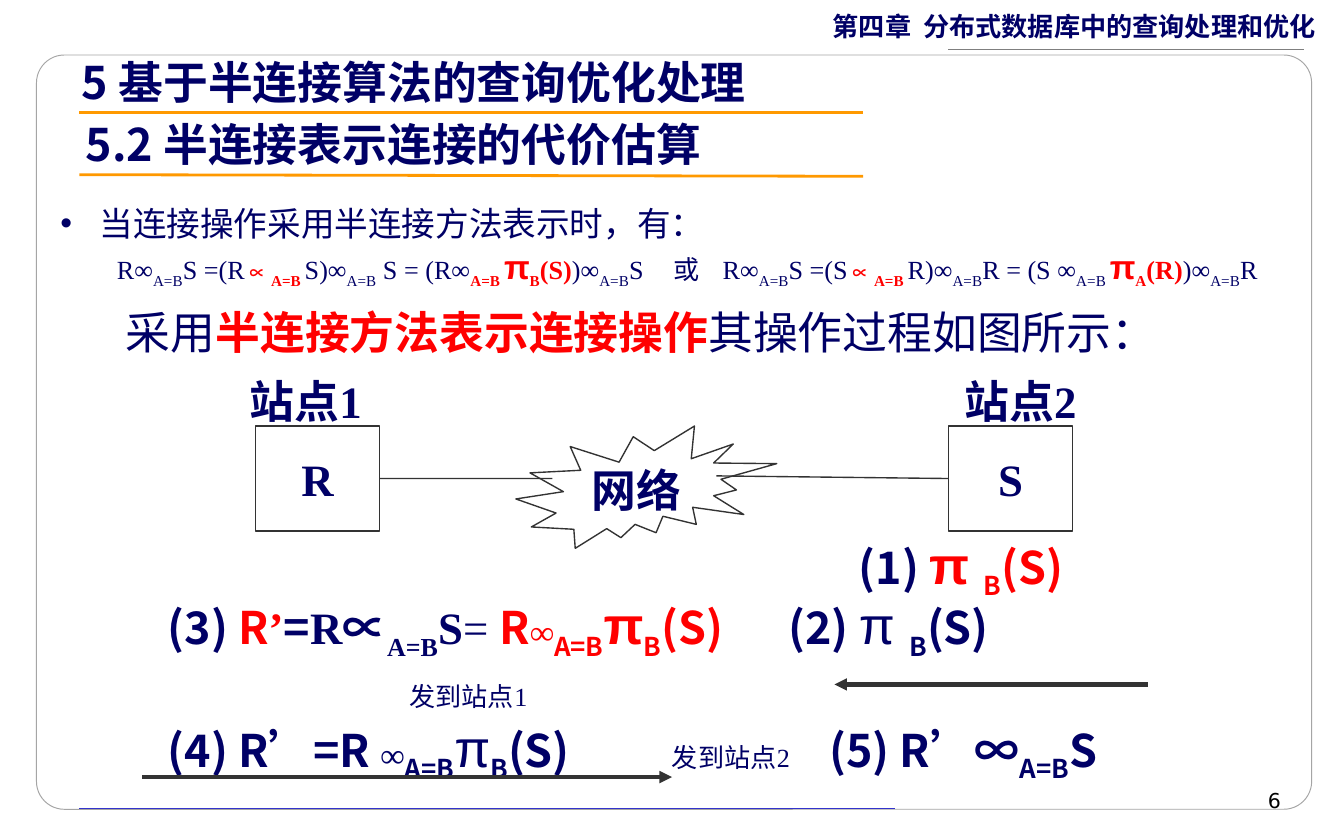
from pptx import Presentation
from pptx.dml.color import RGBColor
from pptx.enum.shapes import MSO_CONNECTOR, MSO_SHAPE
from pptx.enum.text import MSO_ANCHOR, PP_ALIGN
from pptx.oxml.ns import qn
from pptx.util import Cm, Pt
from lxml.etree import SubElement

NOTO, TIMES, ARIAL = "Noto Sans CJK SC", "Times New Roman", "Arial"
NAVY, RED, GRAY, ORANGE = "000066", "FF0000", "333333", "FF9900"


def paint(color, value):
    color.rgb = RGBColor.from_string(value)


def style(run, size, face=NOTO, color=NAVY, bold=True, sub=False):
    run.font.size, run.font.bold, run.font.name = Pt(size), bold, face
    paint(run.font.color, color)
    props = run._r.get_or_add_rPr()
    if sub:
        props.set("baseline", "-25000")
    SubElement(props, qn("a:ea")).set("typeface", NOTO)


def write(para, parts):
    for text, *look in parts:
        run = para.add_run()
        run.text = text
        style(run, *look)


def add_tabs(para, *stops):
    tabs = SubElement(para._p.get_or_add_pPr(), qn("a:tabLst"))
    for stop in stops:
        tab = SubElement(tabs, qn("a:tab"))
        tab.set("pos", str(Cm(stop)))
        tab.set("algn", "l")


def add_bullet(para):
    props = para._p.get_or_add_pPr()
    props.set("marL", str(Cm(0.74)))
    props.set("indent", str(-Cm(0.74)))
    tint = SubElement(props, qn("a:buClr"))
    SubElement(tint, qn("a:srgbClr")).set("val", NAVY)
    SubElement(props, qn("a:buFont")).set("typeface", ARIAL)
    SubElement(props, qn("a:buChar")).set("char", "•")


def add_box(slide, x, y, w, h):
    frame = slide.shapes.add_textbox(Cm(x), Cm(y), Cm(w), Cm(h)).text_frame
    frame.word_wrap = True
    return frame


def add_label(slide, text, x, y, w, h, *look, align=PP_ALIGN.LEFT):
    para = add_box(slide, x, y, w, h).paragraphs[0]
    para.text = text
    para.alignment = align
    style(para.runs[0], *look)


def add_node(slide, kind, x, y, w, h, text="", face=TIMES, line=GRAY, width=0.75):
    node = slide.shapes.add_shape(kind, Cm(x), Cm(y), Cm(w), Cm(h))
    node.shadow.inherit = False
    node.fill.background()
    paint(node.line.color, line)
    node.line.width = Pt(width)
    if text:
        frame = node.text_frame
        frame.word_wrap = False
        frame.vertical_anchor = MSO_ANCHOR.MIDDLE
        para = frame.paragraphs[0]
        para.text = text
        para.alignment = PP_ALIGN.CENTER
        style(para.runs[0], 24, face)
    return node


def add_line(slide, x1, y1, x2, y2, color=GRAY, width=0.75, arrow=False):
    line = slide.shapes.add_connector(
        MSO_CONNECTOR.STRAIGHT, Cm(x1), Cm(y1), Cm(x2), Cm(y2))
    paint(line.line.color, color)
    line.line.width = Pt(width)
    if arrow:
        SubElement(line.line._get_or_add_ln(), qn("a:tailEnd")).set("type", "triangle")
    SubElement(line._element.spPr, qn("a:effectLst"))
    return line


def add_frame(slide):
    card = add_node(slide, MSO_SHAPE.ROUNDED_RECTANGLE, 0.69, 1.04, 24.1, 14.25,
                    line="A5A5A5", width=0.5)
    card.adjustments[0] = 0.037
    add_line(slide, 1.5, 15.27, 16.92, 15.27, "3333CC", 0.25)
    add_label(slide, "第四章  分布式数据库中的查询处理和优化", 15.49, 0.08, 9.8, 0.84, 14)
    add_line(slide, 24.64, 0.94, 17.91, 0.94, "7F7F7F")
    add_label(slide, "6", 18.11, 14.76, 6.35, 0.71, 11, "DejaVu Sans", "000000", False,
              align=PP_ALIGN.RIGHT)


def add_titles(slide):
    add_label(slide, "5.2 半连接表示连接的代价估算", 1.37, 2.08, 12.7, 1.27, 24)
    add_line(slide, 1.5, 3.3, 16.31, 3.33, ORANGE, 1.5)
    add_label(slide, "5 基于半连接算法的查询优化处理", 1.3, 0.91, 17, 1.27, 24)
    add_line(slide, 1.5, 2.13, 16.31, 2.13, ORANGE, 1.5)


def add_sites(slide):
    left, right = [add_node(slide, MSO_SHAPE.RECTANGLE, x, 8.05, 2.34, 1.98, name)
                   for x, name in ((4.83, "R"), (17.93, "S"))]
    wire = add_line(slide, 7.16, 9.04, 10.44, 9.04)
    wire.begin_connect(left, 3)
    add_node(slide, MSO_SHAPE.EXPLOSION2, 9.75, 8.05, 4.93, 2.31, "网络")
    wire = add_line(slide, 13.54, 8.99, 17.93, 9.04)
    wire.end_connect(right, 1)
    for x, name in ((4.47, "站点1"), (17.98, "站点2")):
        add_label(slide, name, x, 6.93, 3, 1.27, 24, TIMES)


def add_steps(slide):
    sub = ("A=B", 24, NOTO, NAVY, True, True)
    redsub = ("A=B", 24, NOTO, RED, True, True)
    base = ("B", 24, NOTO, NAVY, True, True)
    redbase = ("B", 24, NOTO, RED, True, True)
    mark = ("’", 24, TIMES)
    first = add_box(slide, 15.98, 9.93, 6.78, 1.55).paragraphs[0]
    write(first, [("(1) ", 24), ("π ", 28, ARIAL, RED), redbase, ("(S)", 24, NOTO, RED)])

    frame = add_box(slide, 2.92, 11.07, 21.39, 3.86)
    rows = [
        ((11.73,), [
            ("(3) ", 24), ("R", 24, NOTO, RED), ("’", 24, TIMES, RED), ("=", 24),
            ("R", 24, TIMES), ("∝", 24), ("A=B", 24, TIMES, NAVY, True, True),
            ("S", 24, TIMES), ("= ", 24, TIMES, NAVY, False), ("R", 24, NOTO, RED),
            ("∞", 18, TIMES, RED), redsub, ("π", 28, ARIAL, RED), redbase,
            ("(S)", 24, NOTO, RED), ("\t(2) ", 24), ("π ", 28, ARIAL, NAVY, False),
            base, ("(S)", 24)]),
        ((4.57,), [("\t", 24), ("发到站点1", 14, TIMES, NAVY, False)]),
        ((9.53, 12.5), [
            ("(4) R", 24), mark, ("=R ", 24), ("∞", 18, TIMES), sub,
            ("π", 28, ARIAL, NAVY, False), base, ("(S)\t", 24),
            ("发到站点2", 14, TIMES, NAVY, False), ("\t(5) R", 24), mark, ("∞", 24),
            sub, ("S", 24)]),
    ]
    for i, (stops, parts) in enumerate(rows):
        para = frame.add_paragraph() if i else frame.paragraphs[0]
        add_tabs(para, *stops)
        write(para, parts)
    add_line(slide, 21.69, 12.93, 15.77, 12.93, GRAY, 2.25, True)
    add_line(slide, 2.69, 14.68, 12.7, 14.68, GRAY, 2.25, True)


def formula(one, two, key, fact):
    plain, strong = (14, TIMES, NAVY, False), (14, TIMES, RED, True)
    sub = ("A=B", *plain, True)
    gap = ("A=B ", *strong, True)
    last = ("A=B ", *plain, True) if key == "A" else gap
    return [
        (f"{one}∞" if key == "B" else "R∞", *plain), sub, (f"S =({one}", *plain),
        ("∝", *strong), gap, (f"{two})∞", *plain), sub,
        (f"{fact} = ({one}∞" if key == "B" else f"{fact} = ({one} ∞", *plain), last,
        ("π", 18, ARIAL, RED), (key, *strong, True), (f"({two})", *strong),
        (")∞", *plain), sub, (two, *plain)]


def add_body(slide):
    frame = add_box(slide, 0.89, 3.86, 24, 3.66)
    head, math, note = frame.paragraphs[0], frame.add_paragraph(), frame.add_paragraph()
    add_bullet(head)
    write(head, [("当连接操作采用半连接方法表示时，有：", 18, TIMES, NAVY, False)])
    add_tabs(math, 1.07, 11.58, 12.52)
    write(math, [("\t", 20, TIMES, NAVY, False), *formula("R", "S", "B", " S"),
                 ("\t或\t", 14, TIMES, NAVY, False), *formula("S", "R", "A", "R")])
    note._p.get_or_add_pPr().set("marL", str(Cm(1.24)))
    write(note, [("采用", 24, TIMES, NAVY, False),
                 ("半连接方法表示连接操作", 24, TIMES, RED),
                 ("其操作过程如图所示：", 24, TIMES, NAVY, False)])
    for para in frame.paragraphs:
        para.line_spacing = 0.8
    math.space_before, note.space_before = Pt(3.5), Pt(15)


def main():
    deck = Presentation()
    deck.slide_width, deck.slide_height = Cm(25.4), Cm(15.85)
    slide = deck.slides.add_slide(deck.slide_layouts[6])
    add_frame(slide)
    add_titles(slide)
    add_sites(slide)
    add_steps(slide)
    add_body(slide)
    deck.save("out.pptx")


if __name__ == "__main__":
    main()
